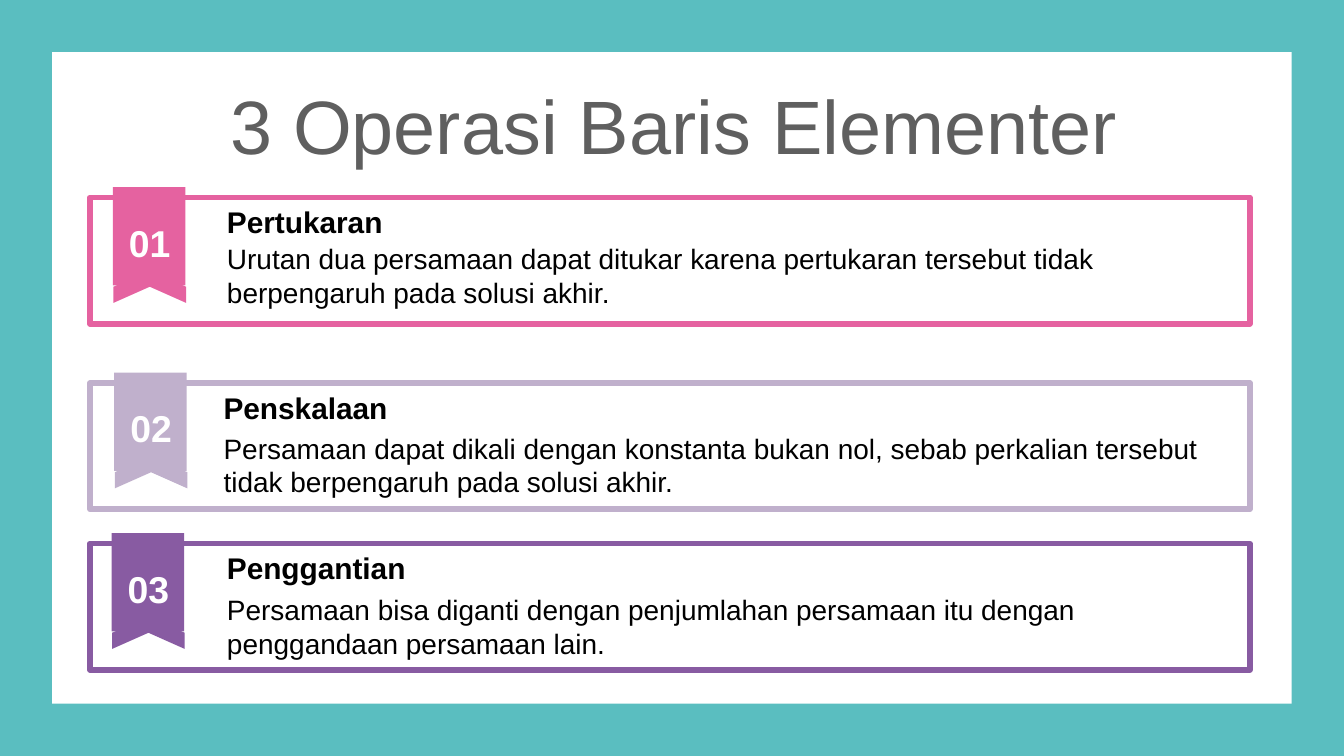
from dataclasses import dataclass

import pptx
import pptx.dml.color
import pptx.enum.shapes
import pptx.enum.text
import pptx.util
from pptx.util import Pt

COLOURS = {
    "background": "5ABEC0",
    "white": "FFFFFF",
    "title": "5F5F5F",
    "text": "000000",
    "pink": "E562A0",
    "lilac": "C0B0CC",
    "purple": "885BA2",
}
FONT = "Arial"
CARD_LEFT, CARD_WIDTH, CARD_HEIGHT = 48.2, 621.4, 67.7
RIBBON_WIDTH, RIBBON_HEIGHT, RIBBON_RISE = 38.9, 52.6, 5.5
TAIL_HEIGHT = 17.3


@dataclass
class Operation:
    number: str
    heading: str
    body: str
    colour: str
    top: float
    ribbon_left: float
    text_left: float
    text_width: float
    heading_width: float
    body_drop: float


@dataclass
class TextStyle:
    size: float
    colour: str = "text"
    bold: bool = False
    centred: bool = False
    line_spacing: float = 1.0


OPERATIONS = [
    Operation("01", "Pertukaran",
              "Urutan dua persamaan dapat ditukar karena pertukaran tersebut "
              "tidak berpengaruh pada solusi akhir.",
              "pink", 105.8, 60.5, 114.5, 543.6, 543.6, 20.2),
    Operation("02", "Penskalaan",
              "Persamaan dapat dikali dengan konstanta bukan nol, sebab perkalian "
              "tersebut tidak berpengaruh pada solusi akhir.",
              "lilac", 205.2, 61.2, 112.7, 545.8, 223.9, 22.3),
    Operation("03", "Penggantian",
              "Persamaan bisa diganti dengan penjumlahan persamaan itu dengan "
              "penggandaan persamaan lain.",
              "purple", 291.2, 59.8, 114.5, 543.6, 543.6, 22.7),
]
HEADING = TextStyle(16, bold=True)
BODY = TextStyle(15)
NUMBER = TextStyle(20, "white", bold=True, centred=True)
TITLE = TextStyle(40.5, "title", centred=True, line_spacing=1.15)


def rgb(name: str) -> pptx.dml.color.RGBColor:
    return pptx.dml.color.RGBColor.from_string(COLOURS[name])


def add_block(page, kind, left: float, top: float, width: float, height: float,
              fill: str, outline: str | None = None):
    block = page.shapes.add_shape(kind, Pt(left), Pt(top), Pt(width), Pt(height))
    block.shadow.inherit = False
    block.fill.solid()
    block.fill.fore_color.rgb = rgb(fill)
    if outline:
        block.line.color.rgb = rgb(outline)
        block.line.width = Pt(3)
    else:
        block.line.fill.background()
    return block


def add_text(page, text: str, left: float, top: float, width: float, height: float,
             style: TextStyle) -> None:
    """Centred text is also anchored in the middle of its box."""
    box = page.shapes.add_textbox(Pt(left), Pt(top), Pt(width), Pt(height))
    frame = box.text_frame
    frame.word_wrap = True
    para = frame.paragraphs[0]
    para.text = text
    para.line_spacing = style.line_spacing
    para.font.name = FONT
    para.font.size = Pt(style.size)
    para.font.bold = style.bold
    para.font.color.rgb = rgb(style.colour)
    if style.centred:
        para.alignment = pptx.enum.text.PP_ALIGN.CENTER
        frame.vertical_anchor = pptx.enum.text.MSO_ANCHOR.MIDDLE


def add_ribbon(page, left: float, top: float, colour: str) -> None:
    """A bookmark: an upward chevron forms the notched tail below a rectangle."""
    shapes = pptx.enum.shapes.MSO_SHAPE
    centre_x = left + RIBBON_WIDTH / 2
    bottom = top + RIBBON_HEIGHT
    tail = add_block(page, shapes.CHEVRON, centre_x - TAIL_HEIGHT / 2 + 0.3,
                     bottom - RIBBON_WIDTH / 2 + 0.7,
                     TAIL_HEIGHT, RIBBON_WIDTH, colour)
    tail.rotation = 270
    add_block(page, shapes.RECTANGLE, left, top, RIBBON_WIDTH, RIBBON_HEIGHT, colour)


def add_operation(page, operation: Operation) -> None:
    top = operation.top
    add_block(page, pptx.enum.shapes.MSO_SHAPE.RECTANGLE, CARD_LEFT, top,
              CARD_WIDTH, CARD_HEIGHT, "white", operation.colour)
    add_ribbon(page, operation.ribbon_left, top - RIBBON_RISE, operation.colour)
    add_text(page, operation.number, operation.ribbon_left + 0.3, top + 8.3,
             RIBBON_WIDTH, 31.5, NUMBER)
    add_text(page, operation.body, operation.text_left, top + operation.body_drop,
             operation.text_width, 43.9, BODY)
    add_text(page, operation.heading, operation.text_left, top,
             operation.heading_width, 26.6, HEADING)


def main() -> None:
    deck = pptx.Presentation()
    deck.slide_width, deck.slide_height = Pt(720), Pt(405)
    page = deck.slides.add_slide(deck.slide_layouts[6])
    page.background.fill.solid()
    page.background.fill.fore_color.rgb = rgb("background")

    add_block(page, pptx.enum.shapes.MSO_SHAPE.RECTANGLE, 28, 28, 664, 349, "white")
    add_text(page, "3 Operasi Baris Elementer", 19.4, 41.8, 683.3, 42.5, TITLE)
    for operation in OPERATIONS:
        add_operation(page, operation)
    deck.save("out.pptx")


if __name__ == "__main__":
    main()
